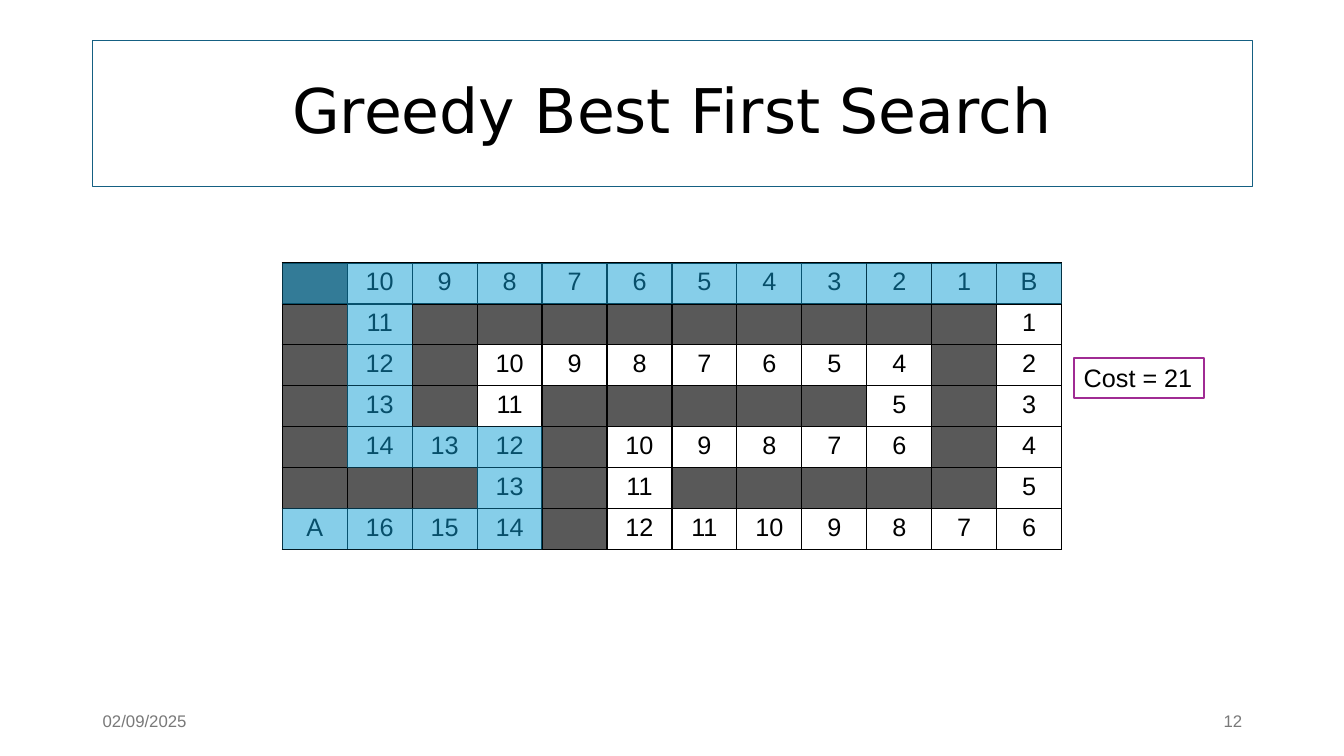
import pptx
import pptx.util
import pptx.dml.color
import pptx.enum.shapes
import pptx.enum.text
import pptx.oxml
import pptx.oxml.ns
from lxml import etree

Inches, Pt = pptx.util.Inches, pptx.util.Pt
RGBColor = pptx.dml.color.RGBColor
PP_ALIGN = pptx.enum.text.PP_ALIGN
MIDDLE = pptx.enum.text.MSO_ANCHOR.MIDDLE
RECT = pptx.enum.shapes.MSO_SHAPE.RECTANGLE
qn = pptx.oxml.ns.qn

BLACK = RGBColor(0x00, 0x00, 0x00)
WHITE = RGBColor(0xFF, 0xFF, 0xFF)
WALL = RGBColor(0x59, 0x59, 0x59)
GRAY = RGBColor(0x79, 0x79, 0x79)
FRAME = RGBColor(0x15, 0x60, 0x82)
PATH = RGBColor(0x0F, 0x9E, 0xD5)
PURPLE = RGBColor(0xA0, 0x2B, 0x93)

MAZE = [
    "# 10 9 8 7 6 5 4 3 2 1 B",
    "# 11 # # # # # # # # # 1",
    "# 12 # 10 9 8 7 6 5 4 # 2",
    "# 13 # 11 # # # # # 5 # 3",
    "# 14 13 12 # 10 9 8 7 6 # 4",
    "# # # 13 # 11 # # # # # 5",
    "A 16 15 14 # 12 11 10 9 8 7 6",
]
ROUTE = [range(12), [1], [1], [1], [1, 2, 3], [3], range(4)]
LEFT, TOP, WIDTH, HEIGHT = Inches(2.8), Inches(2.61), Inches(7.73), Inches(2.84)
COL_W, ROW_H = WIDTH // 12, HEIGHT // 7


def write(tf, text, size, color, align, font="Arial"):
    p = tf.paragraphs[0]
    p.text = text
    p.alignment = align
    p.font.name = font
    p.font.size = Pt(size)
    p.font.color.rgb = color
    return p


prs = pptx.Presentation()
prs.slide_width, prs.slide_height = Inches(13.33), Inches(7.5)
s = prs.slides.add_slide(prs.slide_layouts[5])

title = s.shapes.title
title.left, title.top = Inches(0.92), Inches(0.4)
title.width, title.height = Inches(11.5), Inches(1.45)
title.line.color.rgb = FRAME
title.line.width = Pt(0.75)
title.text_frame.vertical_anchor = MIDDLE
p = write(title.text_frame, "Greedy Best First Search", 44, BLACK, PP_ALIGN.CENTER, "DejaVu Sans")
p.line_spacing = 0.9

for x, text, align in [(0.92, "02/09/2025", PP_ALIGN.LEFT), (9.42, "12", PP_ALIGN.RIGHT)]:
    tf = s.shapes.add_textbox(Inches(x), Inches(6.95), Inches(3), Inches(0.4)).text_frame
    tf.word_wrap = True
    tf.vertical_anchor = MIDDLE
    write(tf, text, 12, GRAY, align)

table = s.shapes.add_table(7, 12, LEFT, TOP, WIDTH, HEIGHT).table
table.first_row = table.horz_banding = False
for r, line in enumerate(MAZE):
    for c, text in enumerate(line.split()):
        cell = table.cell(r, c)
        tcPr = cell._tc.get_or_add_tcPr()
        for side in ("a:lnL", "a:lnR", "a:lnT", "a:lnB"):
            ln = etree.SubElement(tcPr, qn(side), w=str(Pt(1)))
            fill = etree.SubElement(ln, qn("a:solidFill"))
            etree.SubElement(fill, qn("a:srgbClr"), val=str(BLACK))
        cell.fill.solid()
        cell.fill.fore_color.rgb = WALL if text == "#" else WHITE
        write(cell.text_frame, text.replace("#", ""), 18, BLACK, PP_ALIGN.CENTER)

for r, columns in enumerate(ROUTE):
    for c in columns:
        sp = s.shapes.add_shape(RECT, LEFT + c * COL_W, TOP + r * ROW_H, COL_W, ROW_H)
        sp.shadow.inherit = False
        sp.line.fill.background()
        sp.fill.solid()
        sp.fill.fore_color.rgb = PATH
        color = sp.fill._xPr.find(".//" + qn("a:srgbClr"))
        etree.SubElement(color, qn("a:alpha"), val="50000")

sp = s.shapes.add_shape(RECT, Inches(10.65), Inches(3.55), Inches(1.29), Inches(0.4))
sp.shadow.inherit = False
sp.fill.solid()
sp.fill.fore_color.rgb = WHITE
sp.line.color.rgb = PURPLE
sp.line.width = Pt(1.5)
tf = sp.text_frame
tf.word_wrap = False
tf.auto_size = pptx.enum.text.MSO_AUTO_SIZE.SHAPE_TO_FIT_TEXT
tf.vertical_anchor = pptx.enum.text.MSO_ANCHOR.TOP
write(tf, "Cost = 21", 18, BLACK, PP_ALIGN.LEFT)

prs.save("out.pptx")
